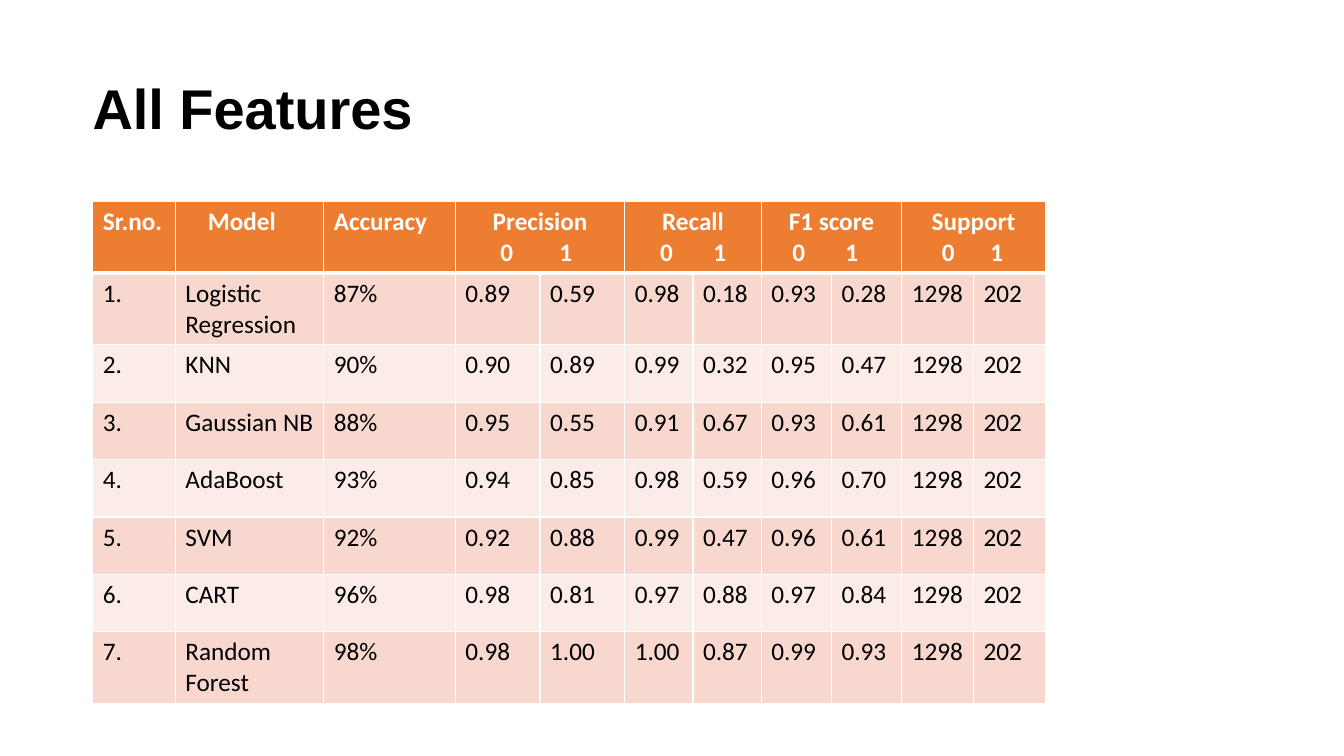
"""Builds the All Features slide, a table of classifier scores."""
from lxml.etree import SubElement
from pptx import Presentation
from pptx.dml.color import RGBColor
from pptx.enum.text import MSO_AUTO_SIZE, PP_ALIGN
from pptx.oxml.ns import qn
from pptx.util import Pt

WIDTHS = [59, 106, 94] + [60.5] * 2 + [48.75] * 2 + [50.25] * 2 + [51.2] * 2
HEADER_HEIGHT, ROW_HEIGHT = 42.5, 41
PLAIN_HEADERS = [("Sr.no.", 0), ("Model", 16), ("Accuracy", 0)]
SPLIT_HEADERS = [
    ("Precision", (25, 67)),
    ("Recall", (18, 56)),
    ("F1 score", (15, 53)),
    ("Support", (21.5, 56)),
]
MODELS = [
    ("Logistic Regression", "87%", "0.89", "0.59", "0.98", "0.18", "0.93", "0.28"),
    ("KNN", "90%", "0.90", "0.89", "0.99", "0.32", "0.95", "0.47"),
    ("Gaussian NB", "88%", "0.95", "0.55", "0.91", "0.67", "0.93", "0.61"),
    ("AdaBoost", "93%", "0.94", "0.85", "0.98", "0.59", "0.96", "0.70"),
    ("SVM", "92%", "0.92", "0.88", "0.99", "0.47", "0.96", "0.61"),
    ("CART", "96%", "0.98", "0.81", "0.97", "0.88", "0.97", "0.84"),
    ("Random Forest", "98%", "0.98", "1.00", "1.00", "0.87", "0.99", "0.93"),
]
SUPPORT = ("1298", "202")


def color(value):
    """Turn a hex string into a colour."""
    return RGBColor.from_string(value)


def write(p, text, font="Calibri", size=18, fill="000000", bold=False,
          align=PP_ALIGN.LEFT, indent=0, tabs=()):
    """Write formatted text into a paragraph."""
    p.alignment = align
    pPr = p._p.get_or_add_pPr()
    if indent:
        pPr.set("marL", str(Pt(indent)))
    if tabs:
        tab_list = SubElement(pPr, qn("a:tabLst"))
        for stop in tabs:
            SubElement(tab_list, qn("a:tab"), pos=str(Pt(stop)), algn="l")
    r = p.add_run()
    r.text = text
    r.font.name, r.font.size, r.font.bold = font, Pt(size), bold
    r.font.color.rgb = color(fill)


class Deck:
    """Holds the style and the current slide."""

    header, bands, white = "ED7D31", ("F8D7CE", "FCECE8"), "FFFFFF"

    def __init__(self):
        """Start a presentation with one blank slide."""
        self.prs = Presentation()
        self.prs.slide_width, self.prs.slide_height = Pt(960), Pt(540)
        self.s = self.prs.slides.add_slide(self.prs.slide_layouts[6])

    def title(self, text, x, y, w, h):
        """Add the slide title."""
        tf = self.s.shapes.add_textbox(Pt(x), Pt(y), Pt(w), Pt(h)).text_frame
        tf.word_wrap = True
        tf.auto_size = MSO_AUTO_SIZE.SHAPE_TO_FIT_TEXT
        write(tf.paragraphs[0], text, font="Arial", size=40, bold=True)

    def paint(self, cell, fill, top=1, bottom=1):
        """Give a cell its borders and fill."""
        tcPr = cell._tc.get_or_add_tcPr()
        for side, width in (("L", 1), ("R", 1), ("T", top), ("B", bottom)):
            ln = SubElement(tcPr, qn(f"a:ln{side}"), w=str(Pt(width)))
            solid = SubElement(ln, qn("a:solidFill"))
            SubElement(solid, qn("a:srgbClr"), val=self.white)
        cell.fill.solid()
        cell.fill.fore_color.rgb = color(fill)

    def table(self, x, y):
        """Add the score table."""
        height = HEADER_HEIGHT + ROW_HEIGHT * len(MODELS)
        table = self.s.shapes.add_table(
            len(MODELS) + 1, len(WIDTHS), Pt(x), Pt(y), Pt(sum(WIDTHS)), Pt(height)).table
        for column, width in zip(table.columns, WIDTHS):
            column.width = Pt(width)
        for i, row in enumerate(table.rows):
            row.height = Pt(ROW_HEIGHT if i else HEADER_HEIGHT)
        self.header_row(table)
        for i, model in enumerate(MODELS, 1):
            for j, text in enumerate((f"{i}.", *model, *SUPPORT)):
                cell = table.cell(i, j)
                self.paint(cell, self.bands[(i - 1) % 2], top=3 if i == 1 else 1)
                write(cell.text_frame.paragraphs[0], text)

    def header_row(self, table):
        """Fill the header, with one merged cell for each pair of classes."""
        style = {"fill": self.white, "bold": True}
        for j in range(len(WIDTHS)):
            self.paint(table.cell(0, j), self.header, bottom=3)
        for j, (text, indent) in enumerate(PLAIN_HEADERS):
            write(table.cell(0, j).text_frame.paragraphs[0], text, indent=indent, **style)
        for k, (text, tabs) in enumerate(SPLIT_HEADERS):
            j = len(PLAIN_HEADERS) + 2 * k
            cell = table.cell(0, j)
            cell.merge(table.cell(0, j + 1))
            tf = cell.text_frame
            write(tf.paragraphs[0], text, align=PP_ALIGN.CENTER, **style)
            write(tf.add_paragraph(), "\t0\t1", tabs=tabs, **style)


def main():
    """Build and save the slide."""
    deck = Deck()
    deck.table(66.3, 144)
    deck.title("All Features", 59, 49, 297.5, 55.5)
    deck.prs.save("out.pptx")


if __name__ == "__main__":
    main()
